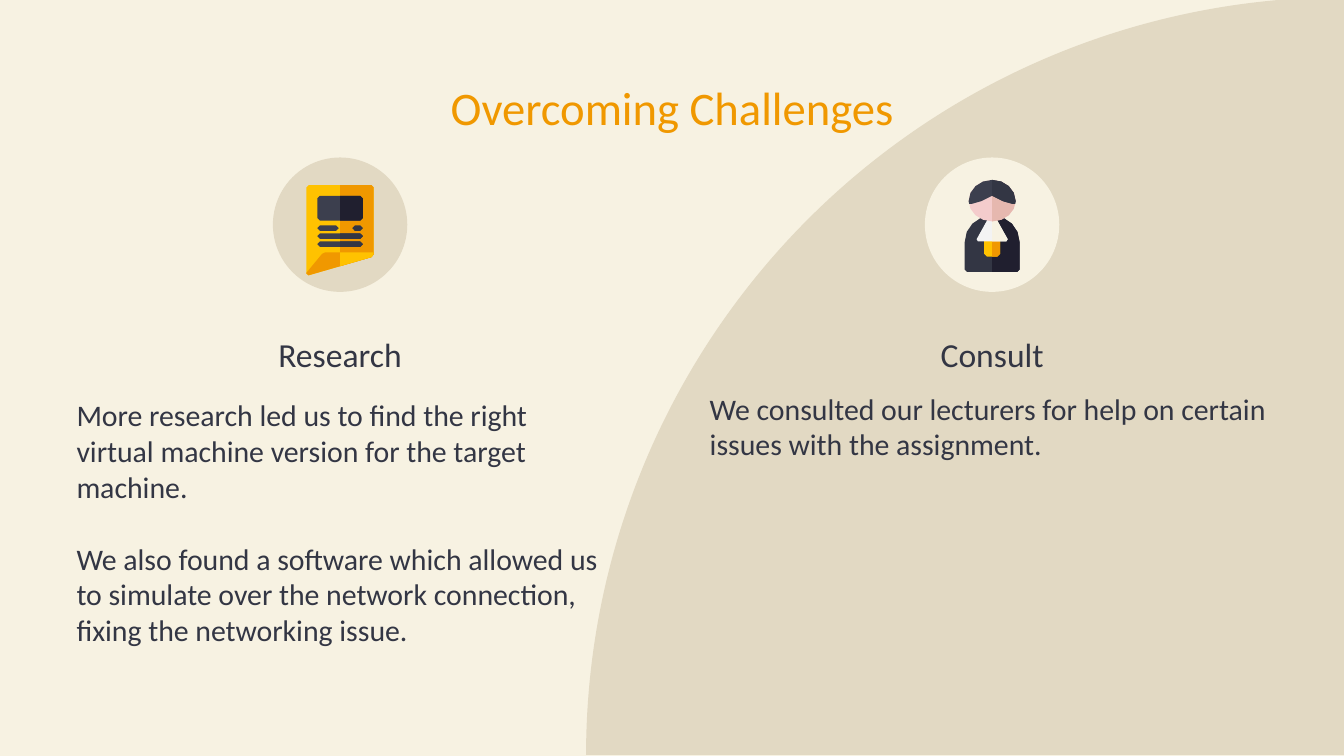
"""Build the "Overcoming Challenges" slide with two illustrated columns."""
import itertools
import math

import lxml.etree
import pptx
import pptx.dml.color
import pptx.enum.shapes
import pptx.enum.text
import pptx.oxml.ns
import pptx.util

Pt = pptx.util.Pt
Shape = pptx.enum.shapes.MSO_SHAPE
Anchor = pptx.enum.text.MSO_ANCHOR
Align = pptx.enum.text.PP_ALIGN

CREAM, SAND, ORANGE, YELLOW = "F7F2E2", "E2D9C3", "F09800", "FFC200"
INK, SLATE, NIGHT = "333644", "3C3F4E", "201F2F"


def hex_color(value):
    return pptx.dml.color.RGBColor.from_string(value)


def set_all(target, values):
    for name, value in values.items():
        setattr(target, name, value)


def box(left, top, right, bottom, radius=0, foot_radius=None):
    foot = radius if foot_radius is None else foot_radius
    return [(left, top, radius), (right, top, radius), (right, bottom, foot), (left, bottom, foot)]


def rounded(corners):
    outline = []
    for i, (x, y, radius) in enumerate(corners):
        if not radius:
            outline.append((x, y))
            continue
        ends = []
        for nx, ny, near in (corners[i - 1], corners[(i + 1) % len(corners)]):
            length = math.hypot(nx - x, ny - y)
            cut = min(radius, length * radius / (radius + near)) / length
            ends.append(((nx - x) * cut, (ny - y) * cut))
        (ax, ay), (bx, by) = ends
        steps = 4 if radius > 2 else 1
        for step in range(steps + 1):
            t = step / steps
            start = (1 - t) ** 3 + 1.35 * (1 - t) ** 2 * t
            end = t ** 3 + 1.35 * (1 - t) * t ** 2
            outline.append((x + ax * start + bx * end, y + ay * start + by * end))
    return [point for point, _ in itertools.groupby(outline)]


def right_half(outline):
    half = []
    for (x1, y1), (x2, y2) in itertools.pairwise(outline + outline[:1]):
        if x1 >= 0:
            half.append((x1, y1))
        if x1 * x2 < 0:
            half.append((0, y1 - x1 * (y2 - y1) / (x2 - x1)))
    return half


class SlideWriter:
    """Holds the style and the current slide."""

    font = {"name": "Calibri", "bold": False}
    frame = {"word_wrap": True, "auto_size": pptx.enum.text.MSO_AUTO_SIZE.NONE,
             "margin_left": Pt(7.2), "margin_right": Pt(7.2),
             "margin_top": Pt(7.2), "margin_bottom": Pt(7.2)}
    spacing = {"line_spacing": 1.0, "space_before": Pt(0)}

    def __init__(self, slide):
        self.slide = slide
        slide.background.fill.solid()
        slide.background.fill.fore_color.rgb = hex_color(CREAM)

    def paint(self, shape, color):
        shape.shadow.inherit = False
        shape.fill.solid()
        shape.fill.fore_color.rgb = hex_color(color)
        shape.line.fill.background()

    def preset(self, kind, left, top, size, color):
        shape = self.slide.shapes.add_shape(kind, Pt(left), Pt(top), Pt(size), Pt(size))
        self.paint(shape, color)
        return shape

    def text(self, index, area, paragraphs, size, color=INK, anchor=Anchor.TOP,
             align=Align.LEFT, gap=0):
        holder = self.slide.placeholders[index]
        self.slide.shapes._spTree.append(holder._element)
        set_all(holder, dict(zip(("left", "top", "width", "height"), map(Pt, area))))
        frame = holder.text_frame
        set_all(frame, {**self.frame, "vertical_anchor": anchor})
        frame.text = "\n".join(paragraphs)
        for paragraph in frame.paragraphs:
            set_all(paragraph, {**self.spacing, "alignment": align, "space_after": Pt(gap)})
            set_all(paragraph.runs[0].font, {**self.font, "size": Pt(size)})
            paragraph.runs[0].font.color.rgb = hex_color(color)
            properties = paragraph._p.get_or_add_pPr()
            properties.set("marL", "0")
            properties.set("indent", "0")
            lxml.etree.SubElement(properties, pptx.oxml.ns.qn("a:buNone"))

    def icon(self, center_x, center_y, parts):
        group = self.slide.shapes.add_group_shape()
        for corners, left_color, right_color in parts:
            outline = rounded(corners)
            layers = [(outline, left_color)]
            if right_color:
                layers.append((right_half(outline), right_color))
            for layer, color in layers:
                points = [(Pt(center_x + x), Pt(center_y + y)) for x, y in layer]
                builder = group.shapes.build_freeform(*points[0])
                builder.add_line_segments(points[1:], close=True)
                self.paint(builder.convert_to_shape(), color)


NEWSPAPER = [
    ([(-18, -21.2, 1.2), (18, -21.2, 1.2), (18, 17, 1.2), (-18, 27.4, 1.2)], YELLOW, ORANGE),
    ([(-9, 14.8, 1), (18, 14.8, 0), (18, 17, 1.2), (-18, 27.4, 1.2), (-18, 25.7, 0)],
     ORANGE, YELLOW),
    (box(-12.2, -15.5, 12.2, -2.2, 1.4), SLATE, NIGHT),
    (box(-12.2, 0.4, -0.7, 3.3, 1.4), SLATE, None),
    (box(6.5, 0.4, 12.2, 3.3, 1.4), INK, None),
    (box(-12.2, 4.7, 12.2, 7.6, 1.4), SLATE, INK),
    (box(-12.2, 9, 12.2, 11.9, 1.4), SLATE, INK),
]
LECTURER = [
    (box(-14.7, -4.7, 14.7, 25.2, 14, 1.2), INK, NIGHT),
    (box(-4.3, 6.1, 4.3, 17, 1.5), YELLOW, ORANGE),
    ([(-1.4, -4.7, 1), (1.4, -4.7, 1), (9, 9, 1.4), (-9, 9, 1.4)], "F3F3F3", CREAM),
    (box(-12.6, -24, 12.6, -1.8, 99), "F4CCCC", "E6B8AF"),
    ([(-12.6, -24, 99), (12.6, -24, 99), (12.6, -12.6, 0), (12.3, -11.2, 0),
      (10.8, -11.2, 0), (5.8, -12.6, 0), (0, -15.5, 0), (-5.8, -12.6, 0),
      (-10.8, -11.2, 0), (-12.3, -11.2, 0), (-12.6, -12.6, 0)], SLATE, INK),
]
RESEARCH = [
    "More research led us to find the right virtual machine version for the target machine.",
    "We also found a software which allowed us to simulate over the network connection, "
    "fixing the networking issue.",
]
CONSULT = ["We consulted our lecturers for help on certain issues with the assignment."]


def main():
    deck = pptx.Presentation()
    set_all(deck, {"slide_width": Pt(720), "slide_height": Pt(405)})
    writer = SlideWriter(deck.slides.add_slide(deck.slide_layouts[4]))

    backdrop = writer.preset(Shape.PIE, 314, -1.5, 812, SAND)
    backdrop.adjustments[0], backdrop.adjustments[1] = 108, 162
    writer.text(0, (93.6, 35.3, 532.8, 51.8), ["Overcoming Challenges"], 25, ORANGE,
                align=Align.CENTER)

    columns = [
        (182.2, SAND, NEWSPAPER, "Research", RESEARCH, (33.8, 205.3, 296.6, 146.9)),
        (531.5, CREAM, LECTURER, "Consult", CONSULT, (373, 201.9, 337, 185.8)),
    ]
    middle = 120.4
    for number, (center, disc_color, icon, heading, body, area) in enumerate(columns):
        writer.preset(Shape.OVAL, center - 36, middle - 36, 72, disc_color)
        writer.icon(center, middle, icon)
        writer.text(2 * number + 1, (center - 120.2, 150.2, 240.4, 57.6), [heading], 18,
                    anchor=Anchor.BOTTOM, align=Align.CENTER)
        writer.text(2 * number + 2, area, body, 16, gap=19.4)

    deck.save("out.pptx")


if __name__ == "__main__":
    main()
